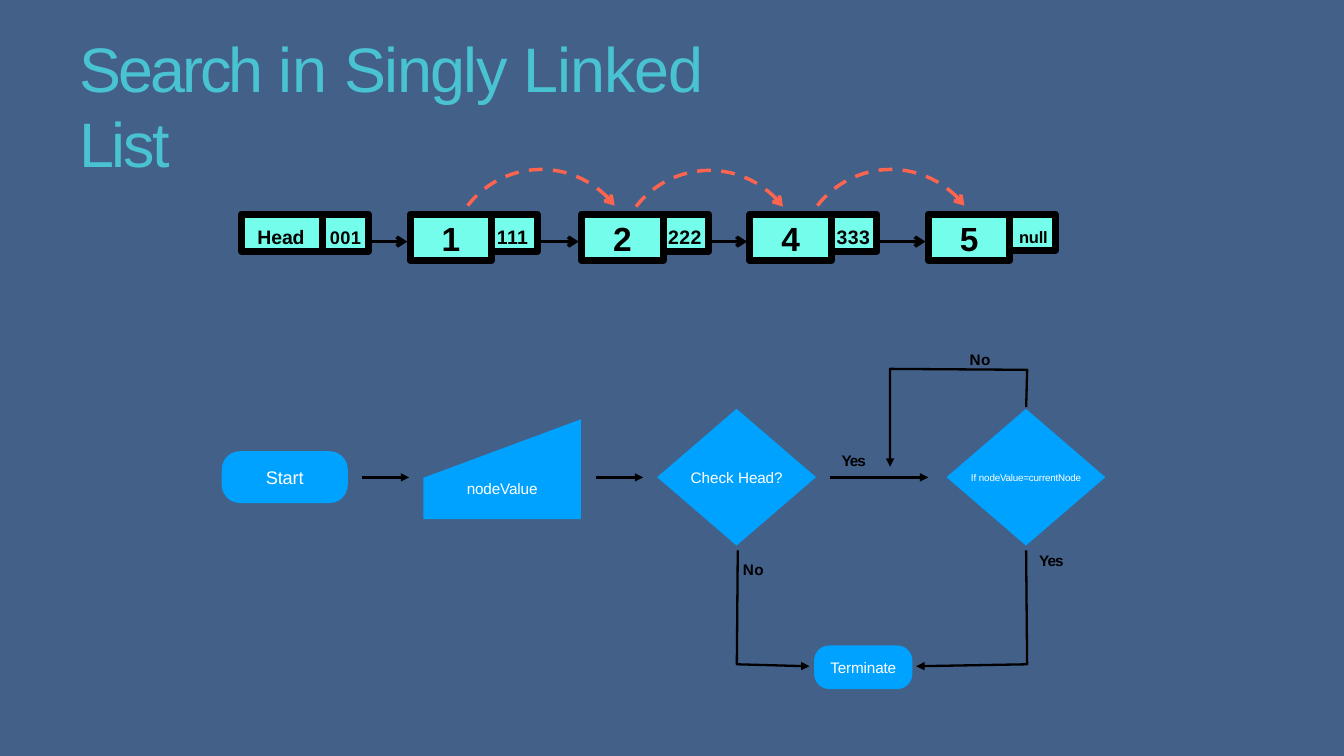
from math import asin, cos, sin

from lxml import etree
from pptx import Presentation
from pptx.dml.color import RGBColor
from pptx.enum.dml import MSO_LINE
from pptx.enum.shapes import MSO_CONNECTOR, MSO_SHAPE
from pptx.enum.text import MSO_ANCHOR, MSO_AUTO_SIZE, PP_ALIGN
from pptx.oxml.ns import qn
from pptx.util import Pt

RECT, ROUND, DIAMOND = MSO_SHAPE.RECTANGLE, MSO_SHAPE.ROUNDED_RECTANGLE, MSO_SHAPE.DIAMOND
STRAIGHT, DASH = MSO_CONNECTOR.STRAIGHT, MSO_LINE.DASH
TOP, MIDDLE = MSO_ANCHOR.TOP, MSO_ANCHOR.MIDDLE
LEFT, CENTER = PP_ALIGN.LEFT, PP_ALIGN.CENTER
FIXED = MSO_AUTO_SIZE.NONE
BLACK, WHITE, BLUE = "000000", "FFFFFF", "00A2FF"
NAVY, TEAL, MINT, CORAL = "436089", "49C3D2", "73FDEA", "FF644E"
rgb = RGBColor.from_string


def write(frame, runs, size, tint, bold=False, left=0, top=0,
          align=LEFT, anchor=TOP, wrap=True):
    """Fill a text frame with (text, letter spacing) runs."""
    frame.auto_size, frame.word_wrap, frame.vertical_anchor = FIXED, wrap, anchor
    frame.margin_left, frame.margin_top = Pt(left), Pt(top)
    frame.margin_right = frame.margin_bottom = 0
    para = frame.paragraphs[0]
    para.alignment, para.line_spacing = align, 1.0
    for text, gap in runs:
        run = para.add_run()
        run.text = text
        font = run.font
        font.name, font.size, font.bold = "Arial", Pt(size), bold
        font.color.rgb = rgb(tint)
        run.font._element.set("spc", str(round(gap * 100)))


def stroke(item, tint, width, head, dash=None):
    """Style a line and give its end an arrowhead."""
    item.line.color.rgb = rgb(tint)
    item.line.width = Pt(width)
    if dash:
        item.line.dash_style = dash
    props = item.element.spPr
    etree.SubElement(props.find(qn("a:ln")), qn("a:tailEnd"), type=head)
    etree.SubElement(props, qn("a:effectLst"))


deck = Presentation()
deck.slide_width, deck.slide_height = Pt(960), Pt(540)
slide = deck.slides.add_slide(deck.slide_layouts[5])
shapes = slide.shapes
slide.background.fill.solid()
slide.background.fill.fore_color.rgb = rgb(NAVY)

# Title
title = shapes.title
title.left, title.top, title.width, title.height = Pt(15.8), Pt(20.2), Pt(551.5), Pt(109.4)
write(title.text_frame,
      [("Search ", -2.1), ("in ", 0), ("Singly ", -1.2), ("Linked ", -0.7), ("List", -1.8)],
      44.9, TEAL, left=41, top=0.7)

# List nodes: a value cell and a pointer cell each
VALUE, LINK = 58.3, 32.4
nodes = [(172.4, "Head", "001"), (293, "1", "111"), (415.4, "2", "222"),
         (535.7, "4", "333"), (663.1, "5", "null")]
# height, size, letter spacing, left and top inset, alignment
big = (33.1, 23.9, 0.9, 0, 3, CENTER)
small = (26.6, 13.9, 0.3, 3.6, 7.8, LEFT)
special = {"Head": (26.6, 13.9, -0.1, 11.5, 7.8, LEFT),
           "001": (26.6, 13, 0.3, 5, 8.6, LEFT),
           "null": (25.9, 11.8, -0.1, 6.5, 9.2, LEFT)}
for x, value, link in nodes:
    for text, left, width, base in ((value, x, VALUE, big), (link, x + VALUE, LINK, small)):
        height, size, gap, inset, top, align = special.get(text, base)
        cell = shapes.add_shape(RECT, Pt(left), Pt(153), Pt(width), Pt(height))
        cell.shadow.inherit = False
        cell.fill.solid()
        cell.fill.fore_color.rgb = rgb(MINT)
        cell.line.color.rgb = rgb(BLACK)
        cell.line.width = Pt(4.95)
        write(cell.text_frame, [(text, gap)], size, BLACK, True, inset, top, align)

# Straight arrows between nodes and between flow steps
arrows = [(a[0] + VALUE + LINK + 2.5, b[0] - 2, 172.6, 2.47, "arrow")
          for a, b in zip(nodes, nodes[1:])]
arrows += [(start, end, 341, 1.65, "triangle")
           for start, end in ((258.5, 292.3), (425.5, 459.4), (592.6, 663.1))]
for start, end, y, width, head in arrows:
    arrow = shapes.add_connector(STRAIGHT, Pt(start), Pt(y), Pt(end), Pt(y))
    stroke(arrow, BLACK, width, head)

# Flow steps
steps = [
    (ROUND, 158.4, 322.3, 90, 37, 13, [("Start", -0.1)]),
    (DIAMOND, 469.4, 292, 113.5, 97.7, 10.9, [("Check ", 0), ("Head?", -0.1)]),
    (DIAMOND, 676.1, 292, 113.5, 97.7, 7, [("If ", 0), ("nodeValue=currentNode", -0.1)]),
    (ROUND, 581.5, 461, 70.3, 31.2, 10.9, [("Terminate", -0.1)]),
]
for kind, x, y, width, height, size, runs in steps:
    step = shapes.add_shape(kind, Pt(x), Pt(y), Pt(width), Pt(height))
    if kind == ROUND:
        step.adjustments[0] = 0.35
    step.shadow.inherit = False
    step.fill.solid()
    step.fill.fore_color.rgb = rgb(BLUE)
    step.line.fill.background()
    write(step.text_frame, runs, size, WHITE, align=CENTER, anchor=MIDDLE, wrap=False)

# Outlines: the input block, the bent arrows and the dashed hops
outlines = [
    ("input", [(415, 299.5), (415, 370.8), (302.4, 370.8), (302.4, 341.3)]),
    ("bend", [(527, 393.1), (526.3, 474.5), (578.2, 475.9)]),
    ("bend", [(733, 393.1), (733.7, 474.5), (654.5, 475.9)]),
    ("bend", [(733, 290.9), (733.7, 264.2), (635.8, 263.5), (635.8, 333.4)]),
]
RADIUS, HALF, PARTS = 66.2, 52.5, 24
sweep = asin(HALF / RADIUS)
for x, y in ((334.1, 121), (454.3, 121.7), (583.9, 121)):
    turns = [sweep * (2 * i / PARTS - 1) for i in range(PARTS + 1)]
    outlines.append(("hop", [(x + HALF + RADIUS * sin(t), y + RADIUS * (1 - cos(t)))
                             for t in turns]))
for kind, points in outlines:
    first, *rest = [(Pt(x), Pt(y)) for x, y in points]
    pen = shapes.build_freeform(*first)
    pen.add_line_segments(rest, close=kind == "input")
    form = pen.convert_to_shape()
    if kind == "input":
        form.shadow.inherit = False
        form.fill.solid()
        form.fill.fore_color.rgb = rgb(BLUE)
        form.line.fill.background()
        write(form.text_frame, [("nodeValue", -0.1)], 10.9, WHITE, top=28,
              align=CENTER, anchor=MIDDLE, wrap=False)
        continue
    form.fill.background()
    if kind == "bend":
        stroke(form, BLACK, 1.65, "triangle")
    else:
        stroke(form, CORAL, 2.47, "arrow", DASH)

# Branch labels
for text, x, y, gap in (("No", 529.9, 399.6, 0.3), ("Yes", 600.5, 321.8, -0.7),
                        ("Yes", 741.6, 393.1, -0.7), ("No", 691.9, 249.8, 0.3)):
    label = shapes.add_textbox(Pt(x), Pt(y), Pt(22), Pt(13.7))
    write(label.text_frame, [(text, gap)], 10.9, BLACK, True, 0.7, 0.7)

deck.save("out.pptx")
